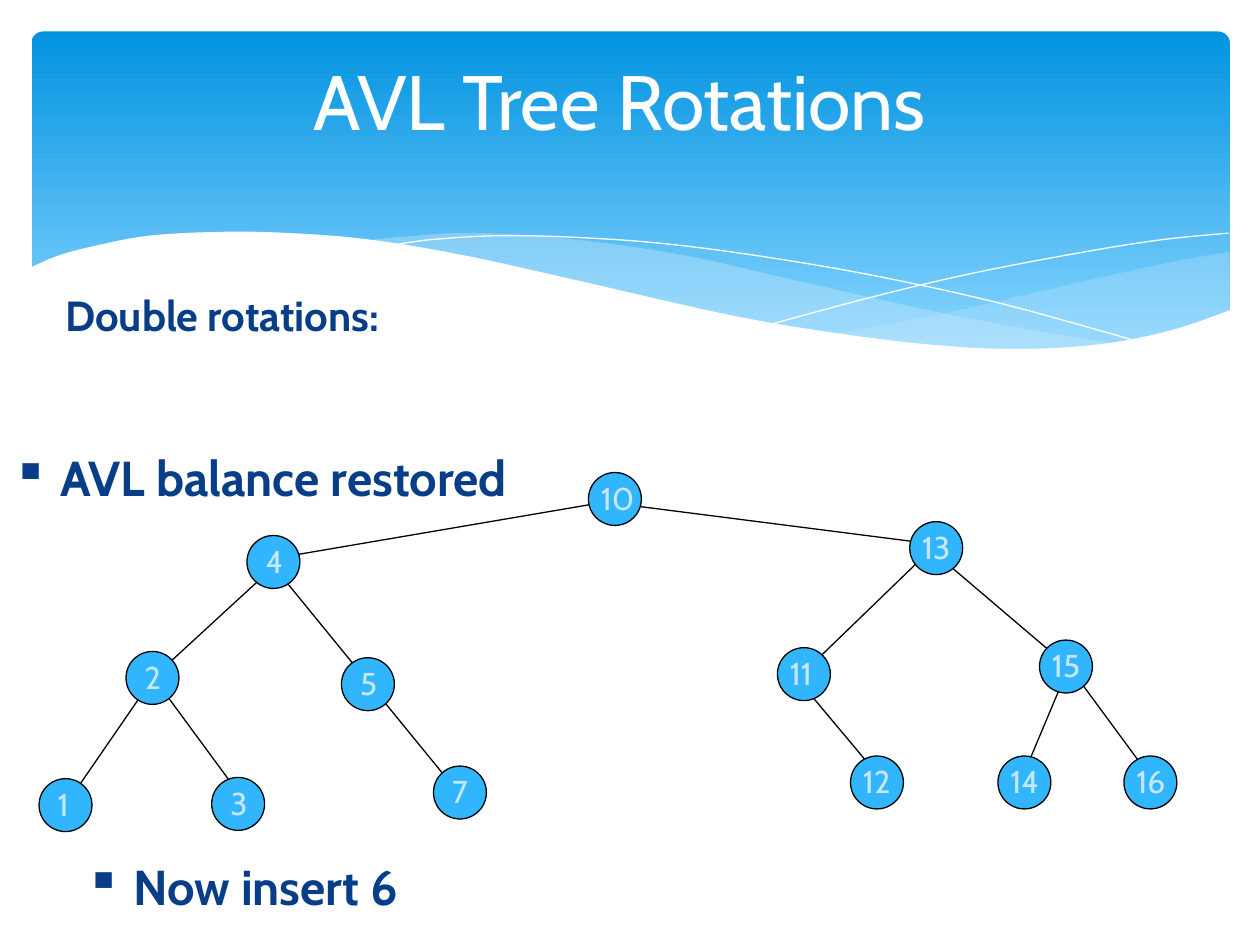
from lxml import etree
from pptx import Presentation
from pptx.dml.color import RGBColor
from pptx.enum.shapes import MSO_CONNECTOR, MSO_SHAPE
from pptx.enum.text import MSO_ANCHOR, PP_ALIGN
from pptx.oxml.ns import qn
from pptx.util import Inches, Pt

LINE = MSO_CONNECTOR.STRAIGHT
OVAL = MSO_SHAPE.OVAL
ROUND = MSO_SHAPE.ROUNDED_RECTANGLE
MIDDLE = MSO_ANCHOR.MIDDLE
LEFT, CENTER = PP_ALIGN.LEFT, PP_ALIGN.CENTER

FONT = "Cabin"
WHITE, BLACK, NAVY, BLUE, PALE = "FFFFFF", "000000", "073E87", "31B6FD", "C6E7FC"
SIZE = 0.42

NODES = {
    10: (4.67, 3.75), 13: (7.22, 4.14), 15: (8.25, 5.08), 4: (1.96, 4.25),
    11: (6.17, 5.14), 2: (1, 5.17), 5: (2.71, 5.22), 7: (3.44, 6.08),
    12: (6.75, 6), 14: (7.92, 6), 16: (8.92, 6), 3: (1.68, 6.17), 1: (0.31, 6.18),
}
EDGES = [
    (1.25, 5.33, 0.5, 6.42), (1.25, 5.42, 1.92, 6.33), (2.17, 4.5, 1.17, 5.42),
    (8.5, 5.31, 9.17, 6.22), (6.33, 5.39, 7, 6.19), (4.92, 4, 7.5, 4.33),
    (2.25, 4.42, 4.89, 3.97), (8.5, 5.25, 8.08, 6.25), (2.11, 4.42, 3.67, 6.33),
    (7.42, 4.33, 6.5, 5.22), (7.42, 4.39, 8.5, 5.31),
]

BACK_TOP = [(9.76, 2), (9.35, 2.07), (8.61, 2.23), (7.53, 2.48), (6.61, 2.65)]
BACK_LOW = [(6.61, 2.65), (7.05, 2.71), (7.57, 2.76), (8.14, 2.78), (8.72, 2.74),
            (9.21, 2.65), (9.76, 2.47)]
FRONT_TOP = [(8.93, 2.73), (8.37, 2.65), (7.41, 2.47), (6.29, 2.22), (5.55, 2.05),
             (4.89, 1.94), (4.2, 1.87), (3.61, 1.85), (2.86, 1.91)]
FRONT_LOW = [(2.86, 1.91), (3.62, 2.03), (4.49, 2.22), (5.66, 2.48), (6.5, 2.64),
             (7.22, 2.74), (7.96, 2.78), (8.48, 2.77), (8.93, 2.73)]
FALL = [(3.09, 1.95), (3.44, 1.9), (4.01, 1.87), (4.69, 1.89), (5.33, 1.94),
        (6.08, 2.04), (6.95, 2.19), (7.95, 2.41), (9.07, 2.72)]
RISE = [(6.13, 2.57), (6.95, 2.35), (7.76, 2.16), (8.66, 1.99), (9.24, 1.9), (9.75, 1.85)]
EDGE = [(9.77, 2.46), (9.3, 2.62), (8.75, 2.73), (8.09, 2.77), (7.44, 2.74),
        (6.68, 2.65), (5.79, 2.5), (4.47, 2.2), (3.65, 2.02), (2.92, 1.9), (2.3, 1.85),
        (1.77, 1.84), (1.19, 1.87), (0.76, 1.95), (0.46, 2.03), (0.23, 2.13)]


def rgb(code):
    """Turn a hex string into a colour."""
    return RGBColor.from_string(code)


def write(frame, text, size=18, color=PALE, bold=False, align=LEFT, indent=0, mark=None):
    """Put one formatted paragraph in a text frame."""
    frame.word_wrap = True
    para = frame.paragraphs[0]
    para.alignment = align
    run = para.add_run()
    run.text = text
    font = run.font
    font.name, font.size, font.bold = FONT, Pt(size), bold
    font.color.rgb = rgb(color)
    if indent:
        para.space_before = Pt(size * 0.2)
        props = para._p.get_or_add_pPr()
        props.set("marL", str(Inches(indent)))
        props.set("indent", str(-Inches(indent)))
        if mark:
            etree.SubElement(props, qn("a:buChar")).set("char", mark)


def label(slide, text, box, **style):
    """Add a text box."""
    area = slide.shapes.add_textbox(*map(Inches, box))
    write(area.text_frame, text, **style)


def curve(knots, steps=6):
    """Return points on a smooth curve through the knots."""
    ends = [knots[0], *knots, knots[-1]]
    points = []
    for a, b, c, d in zip(ends, ends[1:], ends[2:], ends[3:]):
        for step in range(steps):
            t = step / steps
            points.append(tuple(
                q + t * (r - p) / 2 + t * t * (2 * p - 5 * q + 4 * r - s) / 2
                + t ** 3 * (3 * q - p - 3 * r + s) / 2
                for p, q, r, s in zip(a, b, c, d)))
    return points + [knots[-1]]


def wave(slide, box, points, fill=None, alpha=100):
    """Draw a filled wave, or a thin white line when there is no fill."""
    spots = [(Inches(box[0] + x), Inches(box[1] + y)) for x, y in points]
    pen = slide.shapes.build_freeform(*spots[0])
    pen.add_line_segments(spots[1:], close=bool(fill))
    shape = pen.convert_to_shape()
    shape.shadow.inherit = False
    if not fill:
        shape.fill.background()
        shape.line.color.rgb = rgb(WHITE)
        shape.line.width = Pt(0)
        return
    shape.fill.solid()
    shape.fill.fore_color.rgb = rgb(fill)
    shape.line.fill.background()
    if alpha < 100:
        tint = next(shape.element.iter(qn("a:srgbClr")))
        etree.SubElement(tint, qn("a:alpha")).set("val", str(alpha * 1000))


def banner(slide, box):
    """Draw the blue header with its waves and title."""
    x, y, w, h = box
    panel = slide.shapes.add_shape(
        ROUND, Inches(x + 0.25), Inches(y + 0.25), Inches(w - 0.49), Inches(h - 0.6))
    panel.adjustments[0] = 0.034
    panel.shadow.inherit = False
    panel.line.fill.background()
    panel.fill.gradient()
    panel.fill.gradient_angle = 270
    for stop, code, place in zip(panel.fill.gradient_stops, ("0293E0", "83D3FE"), (0, 0.9)):
        stop.color.rgb = rgb(code)
        stop.position = place

    wave(slide, box, curve(BACK_TOP) + curve(BACK_LOW), PALE, 29)
    wave(slide, box, curve(FRONT_TOP) + curve(FRONT_LOW), PALE, 40)
    wave(slide, box, curve(FALL))
    wave(slide, box, curve(RISE))
    wave(slide, box, curve(EDGE) + [(0.23, 3.29), (9.77, 3.29)], WHITE)

    title = slide.shapes.title
    title.element.getparent().append(title.element)
    title.left, title.top = Inches(x + 0.67), Inches(y + 0.17)
    title.width, title.height = Inches(8.5), Inches(1.25)
    title.text_frame.vertical_anchor = MIDDLE
    write(title.text_frame, "AVL Tree Rotations", size=44, color=WHITE, align=CENTER)


def tree(slide, box):
    """Draw the edges, then the numbered nodes over them."""
    left, top = box[:2]
    for x, y, u, v in EDGES:
        link = slide.shapes.add_connector(
            LINE, Inches(left + x), Inches(top + y), Inches(left + u), Inches(top + v))
        link.line.color.rgb = rgb(BLACK)
        link.line.width = Pt(0.75)
        etree.SubElement(link.element.spPr, qn("a:effectLst"))
    for key, (x, y) in NODES.items():
        x, y = left + x, top + y
        node = slide.shapes.add_shape(OVAL, Inches(x), Inches(y), Inches(SIZE), Inches(SIZE))
        node.shadow.inherit = False
        node.fill.solid()
        node.fill.fore_color.rgb = rgb(BLUE)
        node.line.color.rgb = rgb(BLACK)
        node.line.width = Pt(0.75)
        shift = 0.05 if key < 10 else 0
        label(slide, str(key), (x + shift, y, 0.5, 0.4))


def notes(slide, box):
    """Place the heading and the two bulleted remarks."""
    x, y = box[:2]
    style = dict(size=28, color=NAVY, bold=True, indent=0.38, mark="▪")
    label(slide, "AVL balance restored", (x, y + 3.5, 4.29, 0.67), **style)
    label(slide, "Now insert 6", (x + 0.58, y + 6.75, 4.29, 0.67), **style)
    label(slide, "Double rotations:", (x + 0.42, y + 2.25, 9.33, 0.67),
          size=24, color=NAVY, bold=True, indent=0.3)


def main():
    """Build and save the slide."""
    deck = Presentation()
    deck.slide_width, deck.slide_height = Inches(10), Inches(7.5)
    slide = deck.slides.add_slide(deck.slide_layouts[5])
    banner(slide, (0, 0, 10, 3.3))
    tree(slide, (0, 0, 10, 7.5))
    notes(slide, (0, 0, 10, 7.5))
    deck.save("out.pptx")


if __name__ == "__main__":
    main()
